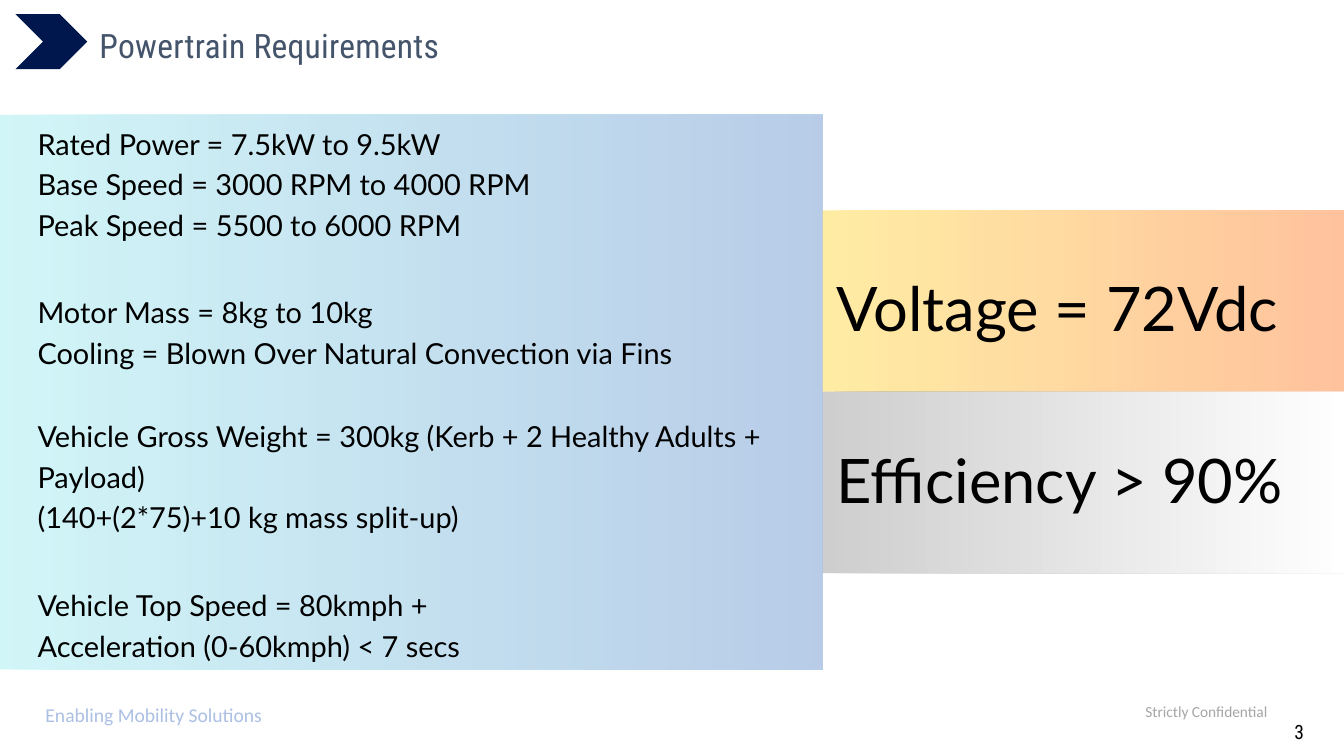
from lxml import etree
from pptx import Presentation
from pptx.dml.color import RGBColor
from pptx.enum.shapes import MSO_SHAPE
from pptx.enum.text import MSO_ANCHOR, PP_ALIGN
from pptx.oxml.ns import qn
from pptx.util import Inches, Pt

RECTANGLE, CHEVRON = MSO_SHAPE.RECTANGLE, MSO_SHAPE.CHEVRON
LEFT, CENTER, RIGHT = PP_ALIGN.LEFT, PP_ALIGN.CENTER, PP_ALIGN.RIGHT

# Sizes and line heights are points, tracking is hundredths of a point.
THEME = {
    "marker": "00174E",
    "body": dict(font="Lato", size=31, line=43.4, color="000000"),
    "figure": dict(font="Lato", size=65.8, line=92, color="000000"),
    "title": dict(font="Roboto Condensed", size=36, line=38.9, color="44546A", tracking=30),
    "number": dict(font="Roboto Condensed", size=21, line=25.2, color="000000",
                   tracking=20, align=CENTER),
    "tagline": dict(font="Calibri", size=21, line=22.7, color="ABC0E4", align=RIGHT),
    "notice": dict(font="Calibri", size=16.5, line=17.8, color="A6A6A6", align=RIGHT),
}

# Panel: left, top, width, height, gradient colours, opacity in percent
PANELS = [
    (0, 1.71, 12.24, 8.25, ("5DE0E6", "004AAD"), 28),
    (12.24, 3.13, 7.76, 2.7, ("FFDE59", "FF914D"), 55),
    (12.24, 5.83, 7.76, 2.7, ("A6A6A6", "FFFFFF"), 55),
]

# Requirement group: top, width, lines
REQUIREMENTS = [
    (1.79, 7.97, ["Rated Power = 7.5kW to 9.5kW",
                  "Base Speed = 3000 RPM to 4000 RPM",
                  "Peak Speed = 5500 to 6000 RPM"]),
    (4.3, 10.24, ["Motor Mass = 8kg to 10kg",
                  "Cooling = Blown Over Natural Convection via Fins"]),
    (6.15, 11.23, ["Vehicle Gross Weight = 300kg (Kerb + 2 Healthy Adults + Payload)",
                   "(140+(2*75)+10 kg mass split-up)"]),
    (8.66, 6.94, ["Vehicle Top Speed = 80kmph +",
                  "Acceleration (0-60kmph) < 7 secs"]),
]

# Label: style, left, top, width, height, text
LABELS = [
    ("figure", 12.45, 3.84, 6.95, 1.19, "Voltage = 72Vdc"),
    ("figure", 12.45, 6.4, 7.35, 1.19, "Efficiency > 90%"),
    ("notice", 16.23, 10.48, 2.63, 0.4, "Strictly Confidential"),
    ("tagline", 0.3, 10.49, 3.6, 0.4, "Enabling Mobility Solutions"),
    ("title", 1.48, 0.43, 14.21, 0.54, "Powertrain Requirements"),
    ("number", 19.06, 10.71, 0.55, 0.29, "3"),
]


def add_plain_shape(page, preset, *place):
    shape = page.shapes.add_shape(preset, *map(Inches, place))
    shape.shadow.inherit = False
    shape.line.fill.background()
    return shape


def add_panel(page, left, top, width, height, colors, opacity):
    """Add a rectangle with a translucent left-to-right gradient."""
    panel = add_plain_shape(page, RECTANGLE, left, top, width, height)
    panel.fill.gradient()
    panel.fill.gradient_angle = 0
    for stop, position, color in zip(panel.fill.gradient_stops, (0, 1), colors):
        stop.position = position
        stop.color.rgb = RGBColor.from_string(color)
    for color_element in panel.fill._xPr.iter(qn("a:srgbClr")):
        etree.SubElement(color_element, qn("a:alpha"), val=str(opacity * 1000))


def add_text(page, style_name, left, top, width, height, lines):
    style = THEME[style_name]
    box = page.shapes.add_textbox(*map(Inches, (left, top, width, height)))
    frame = box.text_frame
    frame_format = dict(word_wrap=True, vertical_anchor=MSO_ANCHOR.TOP, margin_left=0,
                        margin_right=0, margin_top=0, margin_bottom=0)
    for name, value in frame_format.items():
        setattr(frame, name, value)
    for index, line in enumerate(lines):
        para = frame.add_paragraph() if index else frame.paragraphs[0]
        para.alignment = style.get("align", LEFT)
        para.line_spacing = Pt(style["line"])
        span = para.add_run()
        span.text = line
        for name, value in dict(name=style["font"], size=Pt(style["size"])).items():
            setattr(span.font, name, value)
        span.font.color.rgb = RGBColor.from_string(style["color"])
        if "tracking" in style:
            span._r.get_or_add_rPr().set("spc", str(style["tracking"]))


def main():
    deck = Presentation()
    deck.slide_width, deck.slide_height = Inches(20), Inches(11.25)
    page = deck.slides.add_slide(deck.slide_layouts[6])

    marker = add_plain_shape(page, CHEVRON, 0.23, 0.21, 1.07, 0.82)
    marker.fill.solid()
    marker.fill.fore_color.rgb = RGBColor.from_string(THEME["marker"])

    for panel in PANELS:
        add_panel(page, *panel)
    for top, width, lines in REQUIREMENTS:
        height = len(lines) * THEME["body"]["line"] / 72
        add_text(page, "body", 0.56, top, width, height, lines)
    for *place, text in LABELS:
        add_text(page, *place, [text])

    deck.save("out.pptx")


if __name__ == "__main__":
    main()
